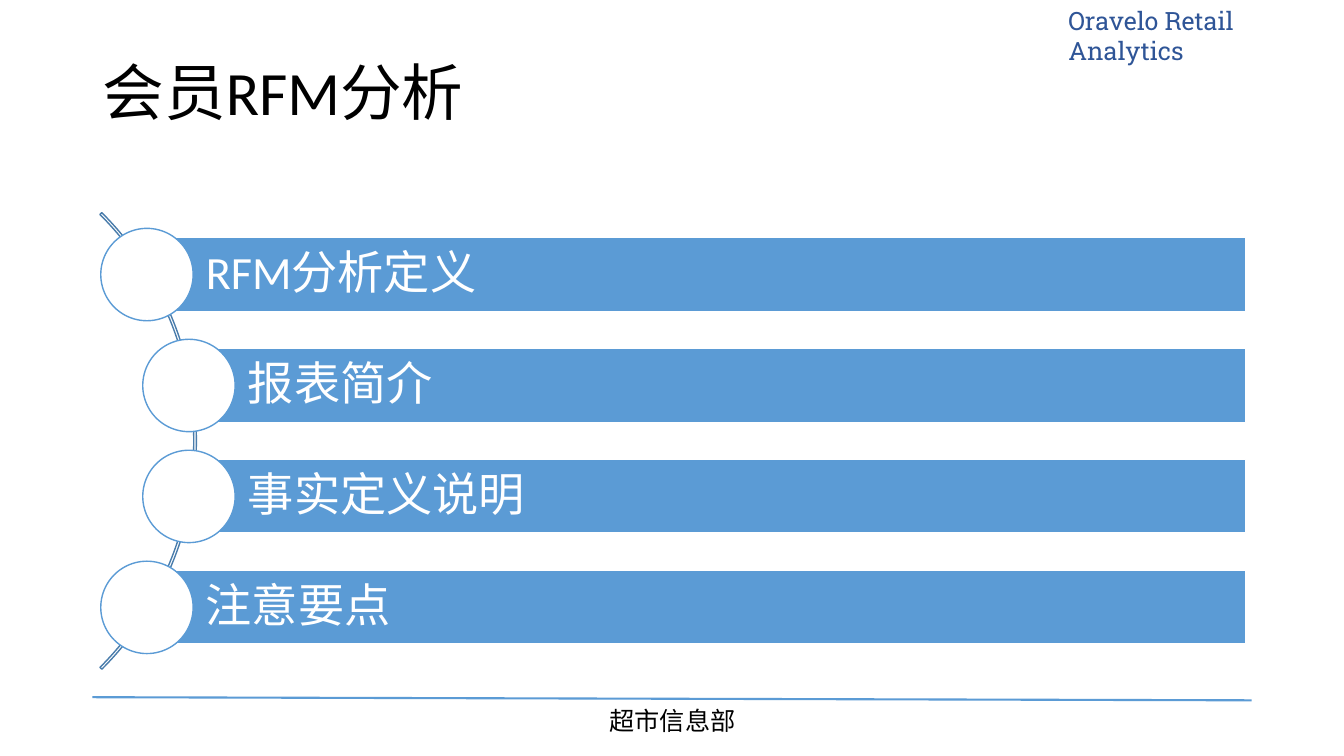
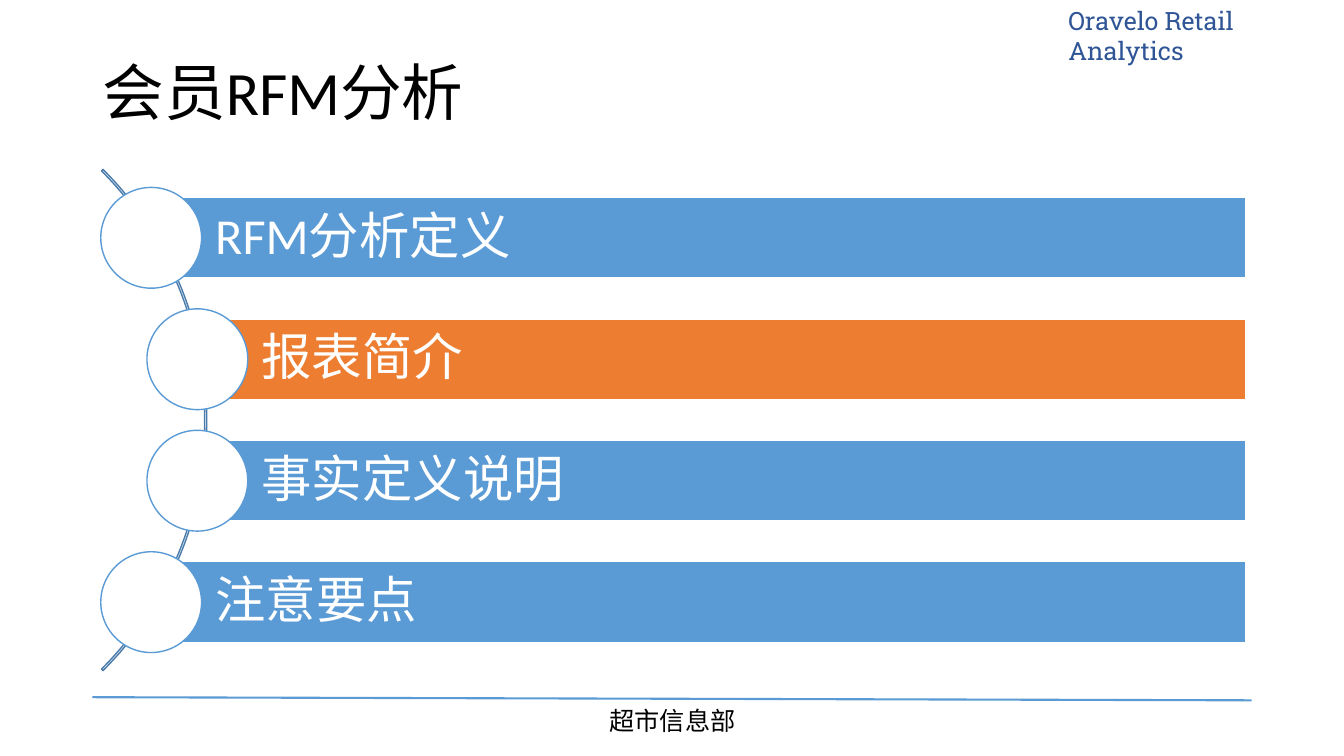
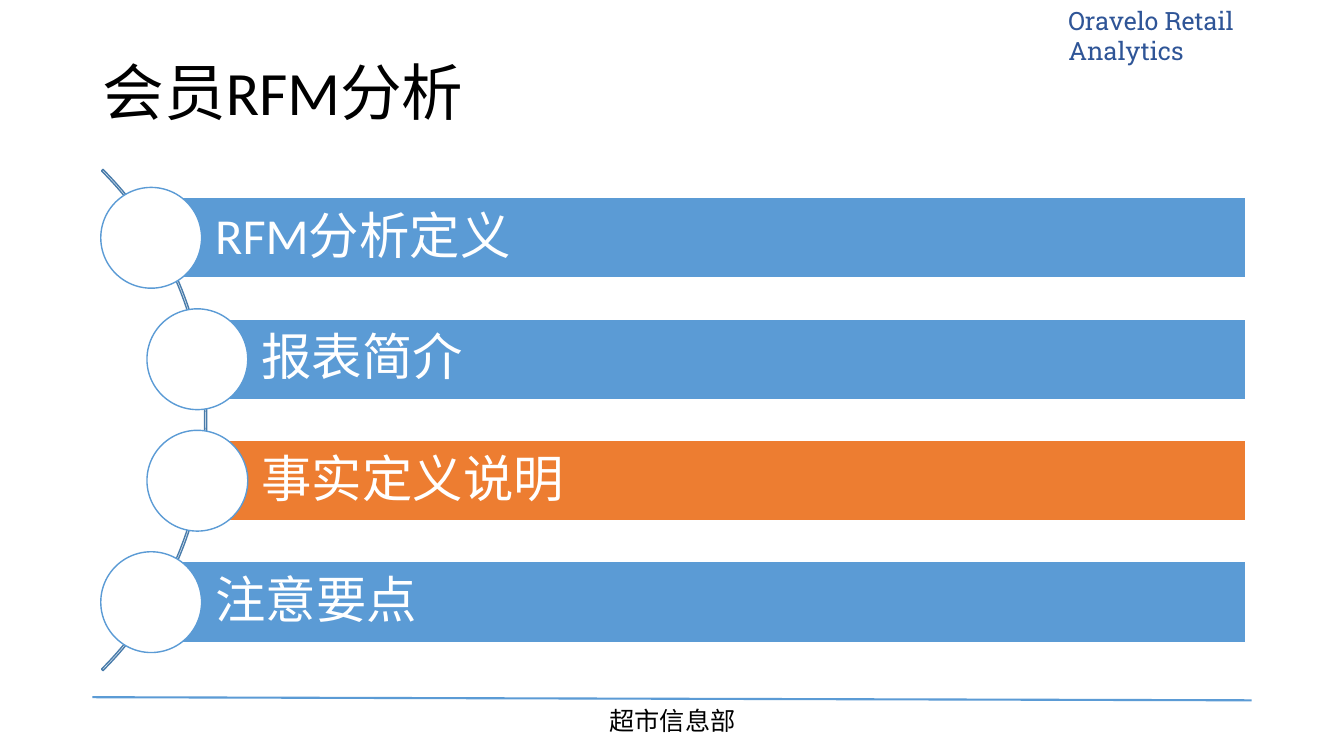
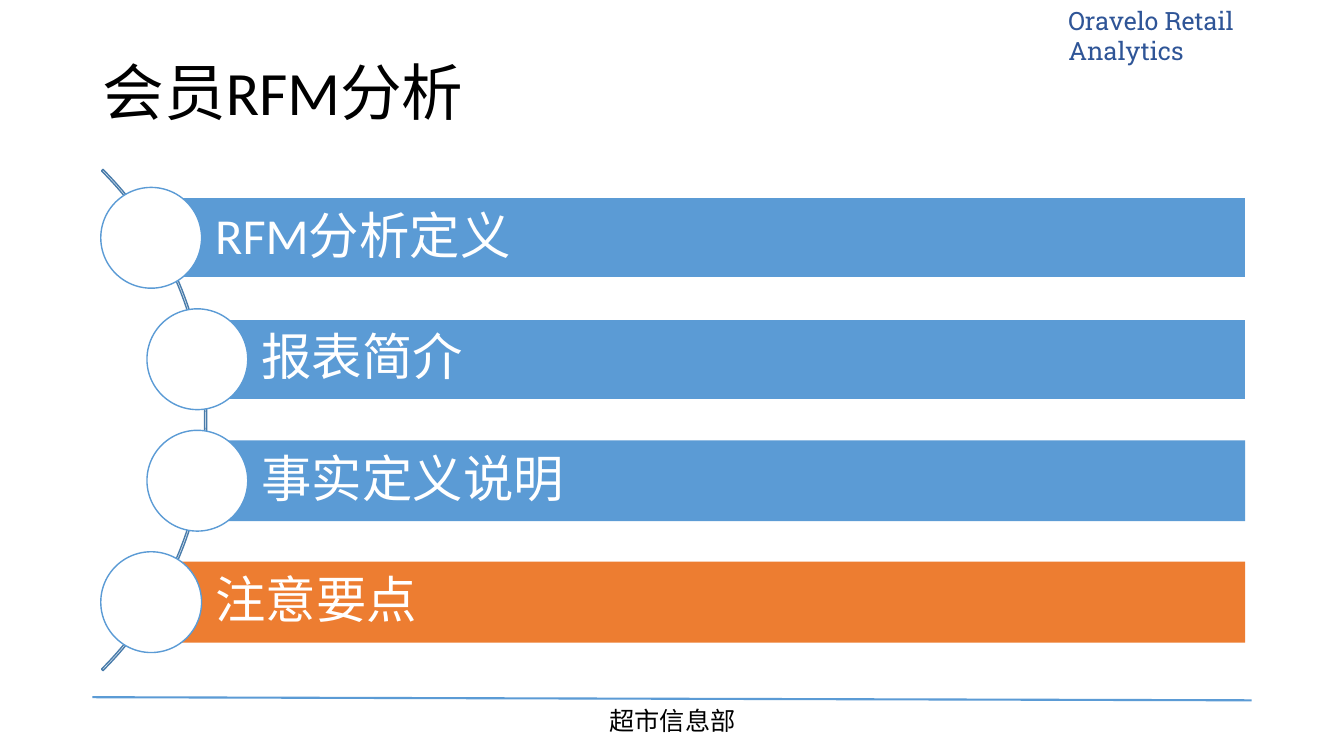
from dataclasses import dataclass

from lxml import etree
from pptx import Presentation
from pptx.dml.color import RGBColor
from pptx.enum.shapes import MSO_CONNECTOR, MSO_SHAPE
from pptx.enum.text import MSO_ANCHOR, PP_ALIGN
from pptx.oxml.ns import qn
from pptx.util import Pt

ARC, RECT, OVAL = MSO_SHAPE.BLOCK_ARC, MSO_SHAPE.RECTANGLE, MSO_SHAPE.OVAL
LINE = MSO_CONNECTOR.STRAIGHT
LEFT, CENTER = PP_ALIGN.LEFT, PP_ALIGN.CENTER
TOP, MIDDLE = MSO_ANCHOR.TOP, MSO_ANCHOR.MIDDLE
PX = 9525  # EMU per px, 96 px to the inch


@dataclass(frozen=True)
class Theme:
    blue: str = "5B9BD5"
    orange: str = "ED7D31"
    navy: str = "2F5597"
    steel: str = "497CAB"
    black: str = "000000"
    white: str = "FFFFFF"
    body: str = "Calibri"
    slab: str = "Roboto Slab"
    cjk: str = "Noto Sans CJK SC"
    title: int = 44
    note: int = 18


T = Theme()


def write(shape, text, size, color, font, align=LEFT, anchor=TOP, space=1.0):
    frame = shape.text_frame
    frame.word_wrap = True
    frame.vertical_anchor = anchor
    para = frame.paragraphs[0]
    para.alignment = align
    para.line_spacing = space
    run = para.add_run()
    run.text = text
    for key, val in {"size": Pt(size), "name": font}.items():
        setattr(run.font, key, val)
    run.font.color.rgb = RGBColor.from_string(color)
    east = etree.SubElement(run.font._element, qn("a:ea"))
    east.set("typeface", T.cjk)


def draw(slide, kind, box, fill=None, edge=None):
    shape = slide.shapes.add_shape(kind, *[round(v * PX) for v in box])
    shape.shadow.inherit = False
    if fill:
        shape.fill.solid()
        shape.fill.fore_color.rgb = RGBColor.from_string(fill)
    else:
        shape.fill.background()
    if edge:
        shape.line.color.rgb = RGBColor.from_string(edge)
        shape.line.width = Pt(1)
    else:
        shape.line.fill.background()
    return shape


deck = Presentation()
deck.slide_width, deck.slide_height = 1280 * PX, 720 * PX
layout = deck.slide_layouts[5]
slides = [deck.slides.add_slide(layout) for _ in range(4)]

# Shared tag, rule and footer, drawn once and moved to the layout
base = slides[0].shapes
tag = base.add_textbox(1008 * PX, 0, 272 * PX, 38 * PX)
write(tag, "Oravelo Retail Analytics", T.note, T.navy, T.slab)
foot = base.add_textbox(538 * PX, 667 * PX, 205 * PX, 38 * PX)
write(foot, "超市信息部", T.note, T.black, T.cjk, CENTER)
rule = base.add_connector(LINE, 88 * PX, 664 * PX, 1192 * PX, 667 * PX)
rule.line.color.rgb = RGBColor.from_string(T.blue)
rule.line.width = Pt(1.5)
etree.SubElement(rule.element.spPr, qn("a:effectLst"))
for part in (tag, rule, foot):
    layout.shapes.element.append(part.element)

# Agenda sizes: mid and span place the row centres
WIDE = {"mid": 420, "span": 317, "arc": 615, "end": 187, "thin": 0.004,
        "bar": 70, "dot": 88, "step": 40, "pad": 56, "gap": 9, "size": 33}
TALL = {"mid": 400, "span": 347, "arc": 675, "end": 197, "thin": 0.003,
        "bar": 77, "dot": 96, "step": 44, "pad": 61, "gap": 10, "size": 36}
ITEMS = ["RFM分析定义", "报表简介", "事实定义说明", "注意要点"]
EDGE, RIGHT = 96, 1186

# Sizes, highlighted row, rows without an outline
PAGES = [(WIDE, None, ()), (TALL, 1, ()), (TALL, 2, ()), (TALL, 3, (2, 3))]

for slide, (fit, hot, bare) in zip(slides, PAGES):
    # Title
    title = slide.shapes.title
    place = {"left": 88, "top": 49, "width": 1104, "height": 85}
    for key, val in place.items():
        setattr(title, key, val * PX)
    write(title, "会员RFM分析", T.title, T.black, T.body, LEFT, MIDDLE, 0.9)

    # Arc behind the rows
    arc = fit["arc"]
    curve = draw(slide, ARC, (fit["end"] - arc, fit["mid"] - arc / 2, arc, arc),
                 edge=T.steel)
    for i, val in enumerate((189, 27, fit["thin"])):
        curve.adjustments[i] = val

    # Rows
    dot, tall = fit["dot"], fit["bar"]
    for i, text in enumerate(ITEMS):
        left = EDGE + (fit["step"] if i in (1, 2) else 0)
        mid = fit["mid"] + fit["span"] * (i / 3 - 0.5)
        start = left + dot / 2
        bar = draw(slide, RECT, (start, mid - tall / 2, RIGHT - start, tall),
                   T.orange if i == hot else T.blue,
                   None if i in bare else T.white)
        frame = bar.text_frame
        frame.margin_left = fit["pad"] * PX
        for side in ("right", "top", "bottom"):
            setattr(frame, "margin_" + side, fit["gap"] * PX)
        write(bar, text, fit["size"], T.white, T.body, LEFT, MIDDLE, 0.9)
        draw(slide, OVAL, (left, mid - dot / 2, dot, dot), T.white, T.blue)

deck.save("out.pptx")
